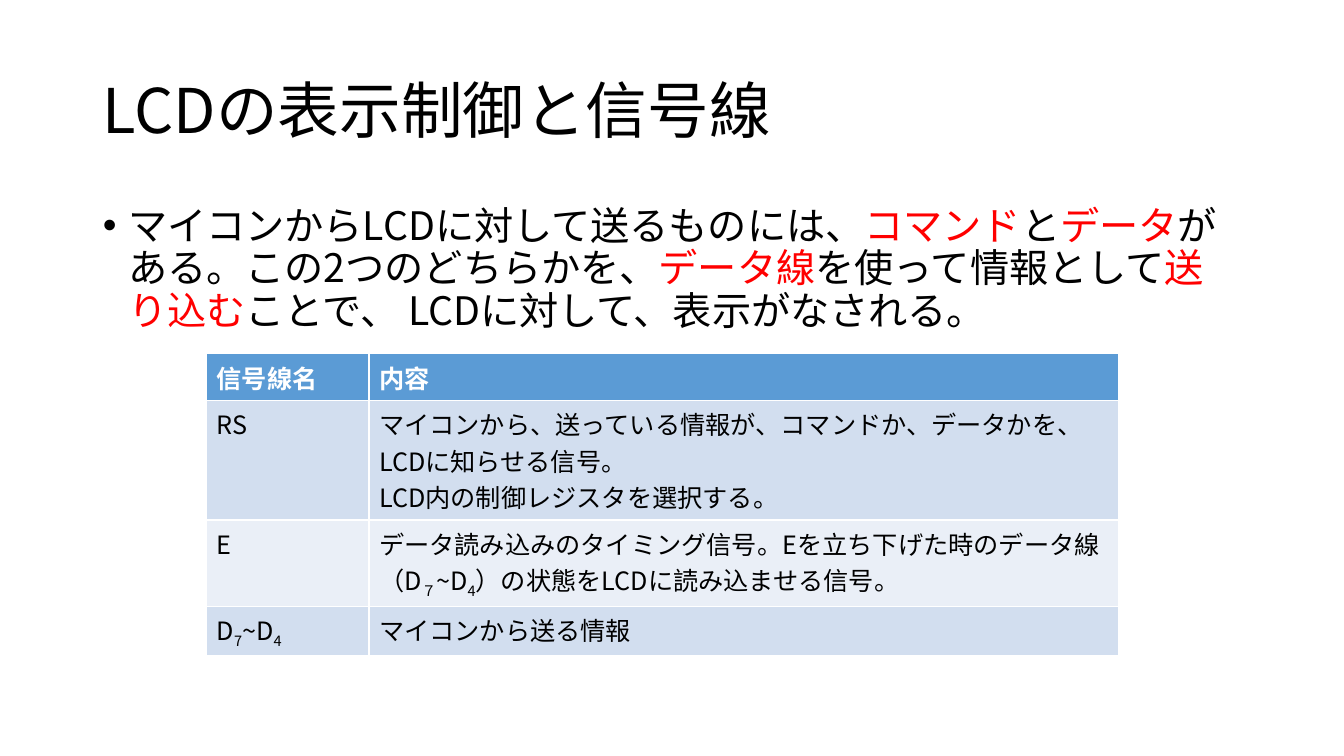
from lxml import etree
from pptx import Presentation
from pptx.dml.color import RGBColor
from pptx.enum.text import MSO_ANCHOR, MSO_AUTO_SIZE, PP_ALIGN
from pptx.oxml.ns import qn
from pptx.util import Inches, Pt

FONT = "Noto Sans CJK JP"
BLACK, WHITE, RED = "000000", "FFFFFF", "FF0000"
HEADER_FILL, BAND_FILLS = "5B9BD5", ("D2DEEF", "EAEFF7")
LEFT, MIDDLE, TOP = PP_ALIGN.LEFT, MSO_ANCHOR.MIDDLE, MSO_ANCHOR.TOP
NO_AUTOFIT = MSO_AUTO_SIZE.NONE

TITLE = "LCDの表示制御と信号線"
TITLE_BOX = (0.92, 0.4, 11.5, 1.45)
BODY_BOX = (0.92, 2, 11.5, 4.76)
BODY_RUNS = [
    ("マイコンからLCDに対して送るものには、", BLACK),
    ("コマンド", RED),
    ("と", BLACK),
    ("データ", RED),
    ("がある。この2つのどちらかを、", BLACK),
    ("データ線", RED),
    ("を使って情報として", BLACK),
    ("送り込む", RED),
    ("ことで、 LCDに対して、表示がなされる。", BLACK),
]

# Each cell is a list of paragraphs; in a paragraph every second run is subscript.
TABLE_ROWS = [
    ([["信号線名"]], [["内容"]]),
    ([["RS"]],
     [["マイコンから、送っている情報が、コマンドか、データかを、LCDに知らせる信号。"],
      ["LCD内の制御レジスタを選択する。"]]),
    ([["E"]],
     [["データ読み込みのタイミング信号。Eを立ち下げた時のデータ線（D", "７", "~D", "4",
       "）の状態をLCDに読み込ませる信号。"]]),
    ([["D", "7", "~D", "4"]], [["マイコンから送る情報"]]),
]
TABLE_LEFT, TABLE_TOP = 2.05, 3.51
COLUMN_WIDTHS = (1.61, 7.43)
ROW_HEIGHT = 0.41


def color(value):
    return RGBColor.from_string(value)


def add_run(paragraph, text, size, text_color, bold=False, subscript=False):
    run = paragraph.add_run()
    run.text = text
    run.font.size = Pt(size)
    run.font.bold = bold
    run.font.color.rgb = color(text_color)
    run.font.name = FONT
    properties = run.font._element
    etree.SubElement(properties, qn("a:ea")).set("typeface", FONT)
    if subscript:
        properties.set("baseline", "-25000")


def prepare_placeholder(shape, box, anchor):
    """Place the placeholder and return its first paragraph."""
    shape.left, shape.top, shape.width, shape.height = map(Inches, box)
    frame = shape.text_frame
    frame.auto_size = NO_AUTOFIT
    frame.vertical_anchor = anchor
    paragraph = frame.paragraphs[0]
    paragraph.alignment = LEFT
    paragraph.line_spacing = 0.9
    return paragraph


def fill_cell(cell, paragraphs, row_index):
    is_header = row_index == 0
    cell.fill.solid()
    cell.fill.fore_color.rgb = color(
        HEADER_FILL if is_header else BAND_FILLS[(row_index - 1) % 2])
    frame = cell.text_frame
    for index, runs in enumerate(paragraphs):
        paragraph = frame.add_paragraph() if index else frame.paragraphs[0]
        for position, text in enumerate(runs):
            add_run(paragraph, text, 18, WHITE if is_header else BLACK,
                    bold=is_header, subscript=position % 2 == 1)


def add_signal_table(slide):
    table = slide.shapes.add_table(
        len(TABLE_ROWS), len(COLUMN_WIDTHS), Inches(TABLE_LEFT), Inches(TABLE_TOP),
        Inches(sum(COLUMN_WIDTHS)), Inches(ROW_HEIGHT * len(TABLE_ROWS))).table
    for column, width in zip(table.columns, COLUMN_WIDTHS):
        column.width = Inches(width)
    for row_index, row in enumerate(TABLE_ROWS):
        table.rows[row_index].height = Inches(ROW_HEIGHT)
        for column_index, paragraphs in enumerate(row):
            fill_cell(table.cell(row_index, column_index), paragraphs, row_index)


def main():
    presentation = Presentation()
    presentation.slide_width = Inches(13.33)
    presentation.slide_height = Inches(7.5)
    slide = presentation.slides.add_slide(presentation.slide_layouts[1])

    title = prepare_placeholder(slide.shapes.title, TITLE_BOX, MIDDLE)
    add_run(title, TITLE, 44, BLACK)

    body = prepare_placeholder(slide.placeholders[1], BODY_BOX, TOP)
    body.space_before = Pt(10)
    indent = Inches(0.25)
    body_properties = body._p.get_or_add_pPr()
    body_properties.set("marL", str(indent))
    body_properties.set("indent", str(-indent))
    for text, text_color in BODY_RUNS:
        add_run(body, text, 28, text_color)

    add_signal_table(slide)
    presentation.save("out.pptx")


if __name__ == "__main__":
    main()
